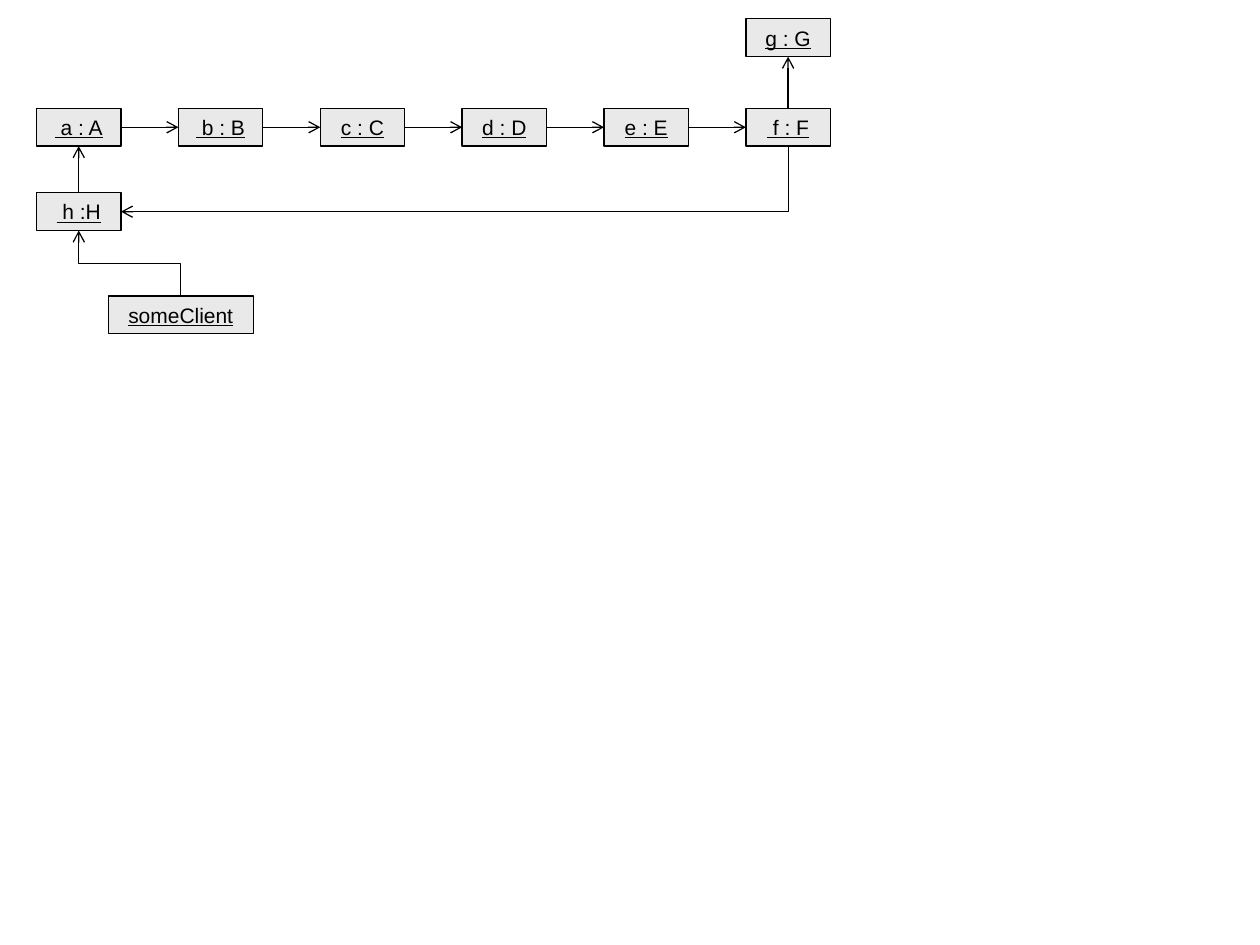
from dataclasses import dataclass

from lxml import etree
from pptx import Presentation
from pptx import util as u
from pptx.dml.color import RGBColor
from pptx.enum import shapes, text
from pptx.oxml import ns


@dataclass(frozen=True)
class Theme:
    fill: RGBColor = RGBColor(0xE9, 0xE9, 0xE9)
    ink: RGBColor = RGBColor(0, 0, 0)
    font: str = "Arial"
    size: float = 12
    line: float = 0.75


@dataclass(frozen=True)
class Node:
    label: str
    left: float
    top: float
    width: float = 0.67
    height: float = 0.3


THEME = Theme()
TOP, LEFT, BOTTOM, RIGHT = range(4)

# Objects: a to f share one row with equal steps
FIRST_LEFT, LAST_LEFT, ROW_TOP = 0.29, 5.92, 0.86
ROW_LABELS = {"a": " a : A", "b": " b : B", "c": "c : C",
              "d": "d : D", "e": "e : E", "f": " f : F"}
STEP = (LAST_LEFT - FIRST_LEFT) / (len(ROW_LABELS) - 1)
NODES = {key: Node(label, FIRST_LEFT + i * STEP, ROW_TOP)
         for i, (key, label) in enumerate(ROW_LABELS.items())}
NODES |= {
    "g": Node("g : G", LAST_LEFT, 0.15),
    "h": Node(" h :H", FIRST_LEFT, 1.53),
    "client": Node("someClient", 0.86, 2.35, width=1.15),
}


def write(frame, content: str, *, size: float = THEME.size,
          color: RGBColor = THEME.ink, underline: bool = True) -> None:
    frame.word_wrap = True
    frame.auto_size = text.MSO_AUTO_SIZE.SHAPE_TO_FIT_TEXT
    frame.vertical_anchor = text.MSO_ANCHOR.TOP
    paragraph = frame.paragraphs[0]
    paragraph.alignment = text.PP_ALIGN.CENTER
    run = paragraph.add_run()
    run.text = content
    run.font.name = THEME.font
    run.font.size = u.Pt(size)
    run.font.color.rgb = color
    run.font.underline = underline


def draw_node(slide, node: Node):
    box = slide.shapes.add_shape(
        shapes.MSO_SHAPE.RECTANGLE, u.Inches(node.left), u.Inches(node.top),
        u.Inches(node.width), u.Inches(node.height))
    box.shadow.inherit = False
    box.fill.solid()
    box.fill.fore_color.rgb = THEME.fill
    box.line.color.rgb = THEME.ink
    box.line.width = u.Pt(THEME.line)
    write(box.text_frame, node.label)
    return box


def draw_link(slide, source, source_side: int, target, target_side: int,
              kind=shapes.MSO_CONNECTOR.STRAIGHT):
    link = slide.shapes.add_connector(kind, 0, 0, 0, 0)
    link.begin_connect(source, source_side)
    link.end_connect(target, target_side)
    link.line.color.rgb = THEME.ink
    link.line.width = u.Pt(THEME.line)
    # Open arrowhead at the target, no shadow
    etree.SubElement(link.line._get_or_add_ln(), ns.qn("a:tailEnd"), type="arrow")
    etree.SubElement(link._element.spPr, ns.qn("a:effectLst"))
    return link


def leave_vertically(link, preset: str, rotation: int, flip: bool = False) -> None:
    """Turn an elbow so that its first leg runs up or down."""
    center_x = (link.begin_x + link.end_x) // 2
    center_y = (link.begin_y + link.end_y) // 2
    width, height = link.height, link.width
    link.left, link.top = center_x - width // 2, center_y - height // 2
    link.width, link.height = width, height
    properties = link._element.spPr
    properties.find(ns.qn("a:prstGeom")).set("prst", preset)
    frame = properties.find(ns.qn("a:xfrm"))
    frame.attrib.pop("flipH", None)
    frame.attrib.pop("flipV", None)
    frame.set("rot", str(rotation * 60000))
    if flip:
        frame.set("flipV", "1")


def main() -> None:
    deck = Presentation()
    deck.slide_width, deck.slide_height = u.Inches(10), u.Inches(7.5)
    slide = deck.slides.add_slide(deck.slide_layouts[6])
    boxes = {key: draw_node(slide, node) for key, node in NODES.items()}

    # Chain along the row
    row = list(ROW_LABELS)
    for source, target in zip(row, row[1:]):
        draw_link(slide, boxes[source], RIGHT, boxes[target], LEFT)

    # Upward links
    for source, target in (("f", "g"), ("h", "a")):
        draw_link(slide, boxes[source], TOP, boxes[target], BOTTOM)

    # Elbow links into h
    elbow = shapes.MSO_CONNECTOR.ELBOW
    back_link = draw_link(slide, boxes["f"], BOTTOM, boxes["h"], RIGHT, elbow)
    leave_vertically(back_link, "bentConnector2", 90)
    client_link = draw_link(slide, boxes["client"], TOP, boxes["h"], BOTTOM, elbow)
    leave_vertically(client_link, "bentConnector3", 270, flip=True)

    deck.save("out.pptx")


if __name__ == "__main__":
    main()
